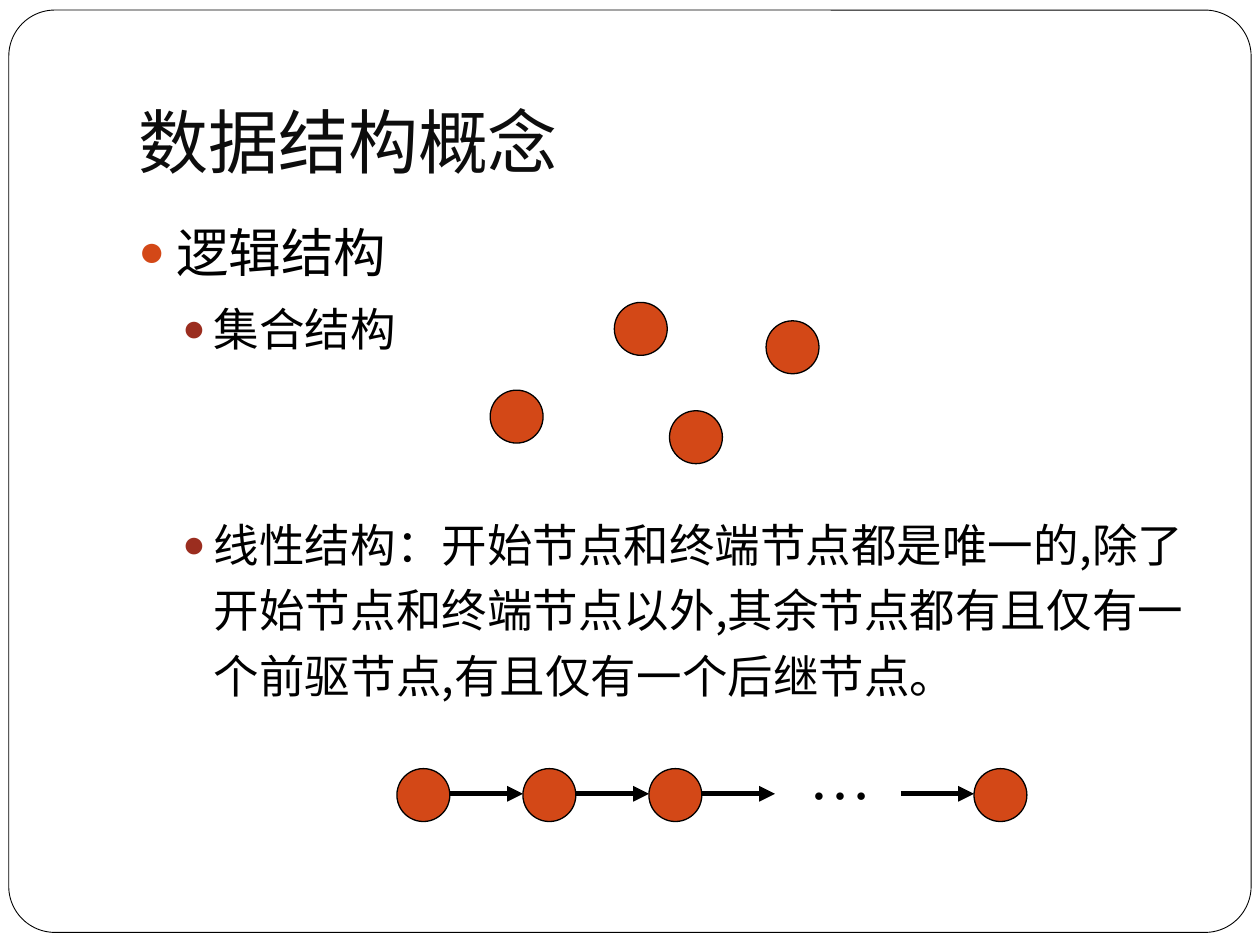
import pptx
import pptx.util
import pptx.dml.color
import pptx.enum.shapes
import pptx.enum.text
import pptx.oxml.ns
from lxml import etree

INK = {"black": "000000", "title": "0D0D0D", "white": "FFFFFF",
       "node": "D34817", "sub": "9B2D1F"}
CJK = "Noto Sans CJK SC"
SERIF = "Times New Roman"
WIDE, HIGH = 10, 7.5
DOT = 0.42
Inch, Pt = pptx.util.Inches, pptx.util.Pt
KIND = pptx.enum.shapes.MSO_SHAPE


def add(parent, tag, **attrs):
    item = etree.SubElement(parent, pptx.oxml.ns.qn(tag))
    for key, value in attrs.items():
        item.set(key, str(value))
    return item


def tint(color, name):
    color.rgb = pptx.dml.color.RGBColor.from_string(INK[name])


def style(run, size, face, ink, east=CJK):
    """Set the Latin and East Asian faces, size and colour of a run."""
    run.font.size, run.font.name = Pt(size), face
    tint(run.font.color, ink)
    add(run.font._element, "a:ea", typeface=east)


def solid(shapes, kind, box, fill, width):
    form = shapes.add_shape(kind, *map(Inch, box))
    form.shadow.inherit = False
    form.fill.solid()
    tint(form.fill.fore_color, fill)
    tint(form.line.color, "black")
    form.line.width = Pt(width)
    return form


def node(shapes, x, y):
    solid(shapes, KIND.OVAL, (x, y, DOT, DOT), "node", 0.75)


def arrow(shapes, x, y, length):
    line = shapes.add_connector(
        pptx.enum.shapes.MSO_CONNECTOR.STRAIGHT,
        *map(Inch, (x, y, x + length, y)))
    tint(line.line.color, "black")
    line.line.width = Pt(3)
    add(line.line._get_or_add_ln(), "a:tailEnd", type="triangle")
    add(line._element.spPr, "a:effectLst")


def label(shapes, box):
    frame = shapes.add_textbox(*map(Inch, box)).text_frame
    frame.word_wrap = True
    return frame


def border(shapes, box):
    form = solid(shapes, KIND.ROUNDED_RECTANGLE, box, "white", 0.5)
    form.adjustments[0] = 0.05


def title(shapes, box):
    frame = label(shapes, box)
    frame.vertical_anchor = pptx.enum.text.MSO_ANCHOR.BOTTOM
    frame.margin_bottom = Inch(0.1)
    frame.text = "数据结构概念"
    style(frame.paragraphs[0].runs[0], 40, "Roboto", "title")


def outline(shapes, box):
    """Bulleted list: texts, level, size, bullet ink, space before."""
    rows = [
        (["逻辑结构"], 0, 30, "node", 0),
        (["集合结构"], 1, 26, "sub", 3.7),
        (["线性结构：",
          "开始节点和终端节点都是唯一的,除了开始节点和终端节点以外,"
          "其余节点都有且仅有一个前驱节点,有且仅有一个后继节点。"],
         1, 26, "sub", 86),
    ]
    frame = label(shapes, box)
    for i, (texts, level, size, ink, gap) in enumerate(rows):
        para = frame.paragraphs[0] if i == 0 else frame.add_paragraph()
        para.level = level
        para.line_spacing = 1.2
        para.space_before = Pt(gap)
        props = para._p.get_or_add_pPr()
        props.set("marL", str(Inch(0.3 * (level + 1))))
        props.set("indent", str(Inch(-0.25 if level else -0.3)))
        add(add(props, "a:buClr"), "a:srgbClr", val=INK[ink])
        add(props, "a:buSzPct", val=85000)
        add(props, "a:buFont", typeface=SERIF)
        add(props, "a:buChar", char="●")
        for text, face in zip(texts, (SERIF, CJK)):
            run = para.add_run()
            run.text = text
            style(run, size, face, "black")


def cloud(shapes, box):
    """Loose nodes, placed by shares of the box."""
    x, y, w, h = box
    for across, down in ((0, 0.81), (0.45, 0), (0.65, 1), (1, 0.17)):
        node(shapes, x + across * (w - DOT), y + down * (h - DOT))


def chain(shapes, box):
    """Linked nodes one step apart, an ellipsis, and the last node."""
    x, y, w, h = box
    step = 1
    link = step - DOT
    mid = y + h / 2 - 0.01
    last = x + w - DOT
    for i in range(3):
        node(shapes, x + i * step, y)
        arrow(shapes, x + i * step + DOT, mid, link)
    node(shapes, last, y)
    arrow(shapes, last - link, mid, link)
    frame = label(shapes, (x + 3.17 * step, y - 0.3, 0.75, 0.7))
    frame.text = "…"
    style(frame.paragraphs[0].runs[0], 36, SERIF, "black", SERIF)


def main():
    deck = pptx.Presentation()
    deck.slide_width, deck.slide_height = Inch(WIDE), Inch(HIGH)
    shapes = deck.slides.add_slide(deck.slide_layouts[6]).shapes
    left, width = 0.1 * WIDE, 0.85 * WIDE
    border(shapes, (0.07, 0.08, WIDE - 0.14, 7.32))
    title(shapes, (left, 0.04 * HIGH, width, 1.25))
    outline(shapes, (left, 1.6, width, 5))
    cloud(shapes, (3.89, 2.4, 2.61, 1.28))
    chain(shapes, (3.15, 6.1, 5, DOT))
    deck.save("out.pptx")


if __name__ == "__main__":
    main()
